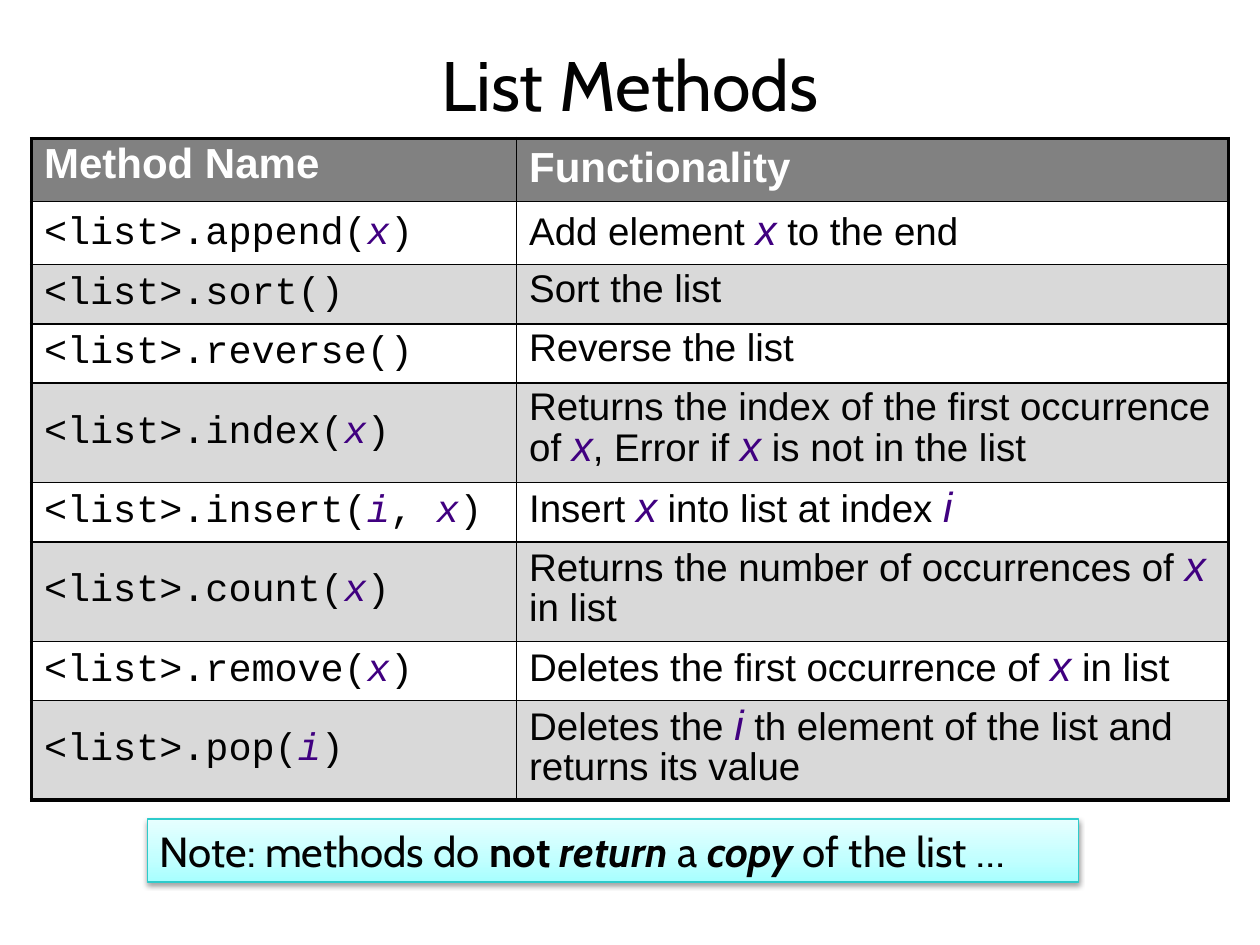
from collections import namedtuple
from dataclasses import dataclass

from lxml.etree import SubElement
from pptx import Presentation
from pptx.dml.color import RGBColor as Rgb
from pptx.enum.shapes import MSO_SHAPE as Shape
from pptx.enum.text import MSO_ANCHOR as Anchor, PP_ALIGN as Align
from pptx.oxml import parse_xml
from pptx.oxml.ns import nsdecls, qn
from pptx.util import Inches, Pt

Box = namedtuple("Box", "left top width height")


@dataclass(frozen=True)
class Theme:
    ink: str = "020202"
    white: str = "FFFFFF"
    variable: str = "400080"
    header_fill: str = "818181"
    band_fill: str = "D9D9D9"
    note_line: str = "2ECBCB"
    note_stops: tuple = ((0, "A7FFFF"), (35, "C1FFFF"), (100, "E7FFFF"))
    heading_font: str = "Cabin"
    body_font: str = "Arial"
    code_font: str = "Courier New"
    title_size: int = 40
    large_size: int = 24
    body_size: int = 22
    thick: float = 2.25
    thin: float = 1


THEME = Theme()

# The grid has 100 columns and 75 rows of a tenth of an inch
COLUMNS, ROWS, UNIT = 100, 75, 0.1
TITLE_BOX = Box(2.5, 0.8, 95, 11.7)
TABLE_BOX = Box(2.5, 11, 95, 52.4)
NOTE_BOX = Box(11.7, 65, 73.9, 5)
TABLE_COLUMNS = (38.5, 56.5)
TABLE_ROWS = (5, 5, 4.7, 4.7, 7.9, 4.7, 7.9, 4.7, 7.9)

# Asterisks enclose variable names
METHODS = [
    ("Method Name", "Functionality"),
    ("<list>.append(*x*)", "Add element *x* to the end"),
    ("<list>.sort()", "Sort the list"),
    ("<list>.reverse()", "Reverse the list"),
    ("<list>.index(*x*)",
     "Returns the index of the first occurrence of *x*, Error if *x* is not in the list"),
    ("<list>.insert(*i*, *x*)", "Insert *x* into list at index *i*"),
    ("<list>.count(*x*)", "Returns the number of occurrences of *x* in list"),
    ("<list>.remove(*x*)", "Deletes the first occurrence of *x* in list"),
    ("<list>.pop(*i*)", "Deletes the *i* th element of the list and returns its value"),
]
# Cells with single line spacing; the others are set at 90%
HEADER_AND_APPEND = (0, 1)

BOLD = {"bold": True}
BOLD_ITALIC = {"bold": True, "italic": True}
NOTE = [
    ("Note: methods do ", {}), ("not ", BOLD), ("return", BOLD_ITALIC),
    (" a ", {}), ("copy", BOLD_ITALIC), (" of the list …", {}),
]


def grid(value):
    return Inches(value * UNIT)


def emu(box):
    return [grid(value) for value in box]


def add_span(para, text, color, **values):
    span = para.add_run()
    span.text = text
    for name, value in values.items():
        setattr(span.font, name, value)
    span.font.color.rgb = Rgb.from_string(color)


def add_title(page, box):
    frame = page.shapes.add_textbox(*emu(box)).text_frame
    frame.word_wrap = True
    frame.vertical_anchor = Anchor.MIDDLE
    para = frame.paragraphs[0]
    para.alignment = Align.CENTER
    add_span(para, "List Methods", THEME.ink,
             name=THEME.heading_font, size=Pt(THEME.title_size))


def set_borders(cell, widths):
    properties = cell._tc.get_or_add_tcPr()
    for side, width in widths.items():
        line = SubElement(properties, qn(f"a:ln{side}"), w=str(Pt(width)))
        fill = SubElement(line, qn("a:solidFill"))
        SubElement(fill, qn("a:srgbClr"), val=THEME.ink)


def set_spacing(para, line_spacing):
    para.line_spacing = line_spacing
    before = SubElement(para._p.get_or_add_pPr(), qn("a:spcBef"))
    SubElement(before, qn("a:spcPct"), val="20000")


def fill_cell(cell, text, row, column):
    header, is_code = row == 0, row > 0 and column == 0
    if is_code:
        cell.vertical_anchor = Anchor.MIDDLE

    # Thick outer frame, thin inner rules
    edges = {"L": column == 0, "R": column == len(TABLE_COLUMNS) - 1,
             "T": header, "B": row == len(METHODS) - 1}
    set_borders(cell, {side: THEME.thick if outer else THEME.thin
                       for side, outer in edges.items()})

    # Header and banded rows
    if header or row % 2 == 0:
        cell.fill.solid()
        color = THEME.header_fill if header else THEME.band_fill
        cell.fill.fore_color.rgb = Rgb.from_string(color)
    else:
        cell.fill.background()

    # Wording, with variables in colour
    para = cell.text_frame.paragraphs[0]
    single = (row in HEADER_AND_APPEND) == (column == 1)
    set_spacing(para, 1.0 if single else 0.9)
    for index, part in enumerate(text.split("*")):
        if not part:
            continue
        variable = index % 2 == 1
        large = header or (variable and not is_code)
        color = THEME.white if header else THEME.variable if variable else THEME.ink
        add_span(para, part, color, bold=header, italic=variable,
                 name=THEME.code_font if is_code else THEME.body_font,
                 size=Pt(THEME.large_size if large else THEME.body_size))


def add_method_table(page, box):
    table = page.shapes.add_table(len(METHODS), len(TABLE_COLUMNS), *emu(box)).table
    table.first_row = table.horz_banding = False
    for column, width in zip(table.columns, TABLE_COLUMNS):
        column.width = grid(width)
    for row, height in zip(table.rows, TABLE_ROWS):
        row.height = grid(height)
    for row, texts in enumerate(METHODS):
        for column, text in enumerate(texts):
            fill_cell(table.cell(row, column), text, row, column)


def add_note(page, box):
    note = page.shapes.add_shape(Shape.RECTANGLE, *emu(box))
    note.line.color.rgb = Rgb.from_string(THEME.note_line)
    note.line.width = Pt(0.75)

    # Three-stop gradient rising from the bottom edge
    stops = "".join(f'<a:gs pos="{place * 1000}"><a:srgbClr val="{color}"/></a:gs>'
                    for place, color in THEME.note_stops)
    note._element.spPr.find(qn("a:prstGeom")).addnext(parse_xml(
        f'<a:gradFill {nsdecls("a")} rotWithShape="1"><a:gsLst>{stops}</a:gsLst>'
        '<a:lin ang="16200000" scaled="0"/></a:gradFill>'))

    # Soft shadow below
    note.shadow.inherit = False
    note._element.spPr.find(qn("a:effectLst")).append(parse_xml(
        f'<a:outerShdw {nsdecls("a")} blurRad="{Pt(3.1)}" dist="{Pt(1.6)}" '
        'dir="5400000" rotWithShape="0"><a:srgbClr val="000000">'
        '<a:alpha val="38000"/></a:srgbClr></a:outerShdw>'))

    # Wording
    frame = note.text_frame
    frame.word_wrap = True
    frame.vertical_anchor = Anchor.TOP
    para = frame.paragraphs[0]
    para.alignment = Align.LEFT
    for text, style in NOTE:
        add_span(para, text, THEME.ink, name=THEME.heading_font,
                 size=Pt(THEME.large_size), **style)


def main():
    deck = Presentation()
    deck.slide_width, deck.slide_height = grid(COLUMNS), grid(ROWS)
    page = deck.slides.add_slide(deck.slide_layouts[6])
    add_title(page, TITLE_BOX)
    add_method_table(page, TABLE_BOX)
    add_note(page, NOTE_BOX)
    deck.save("out.pptx")


if __name__ == "__main__":
    main()
